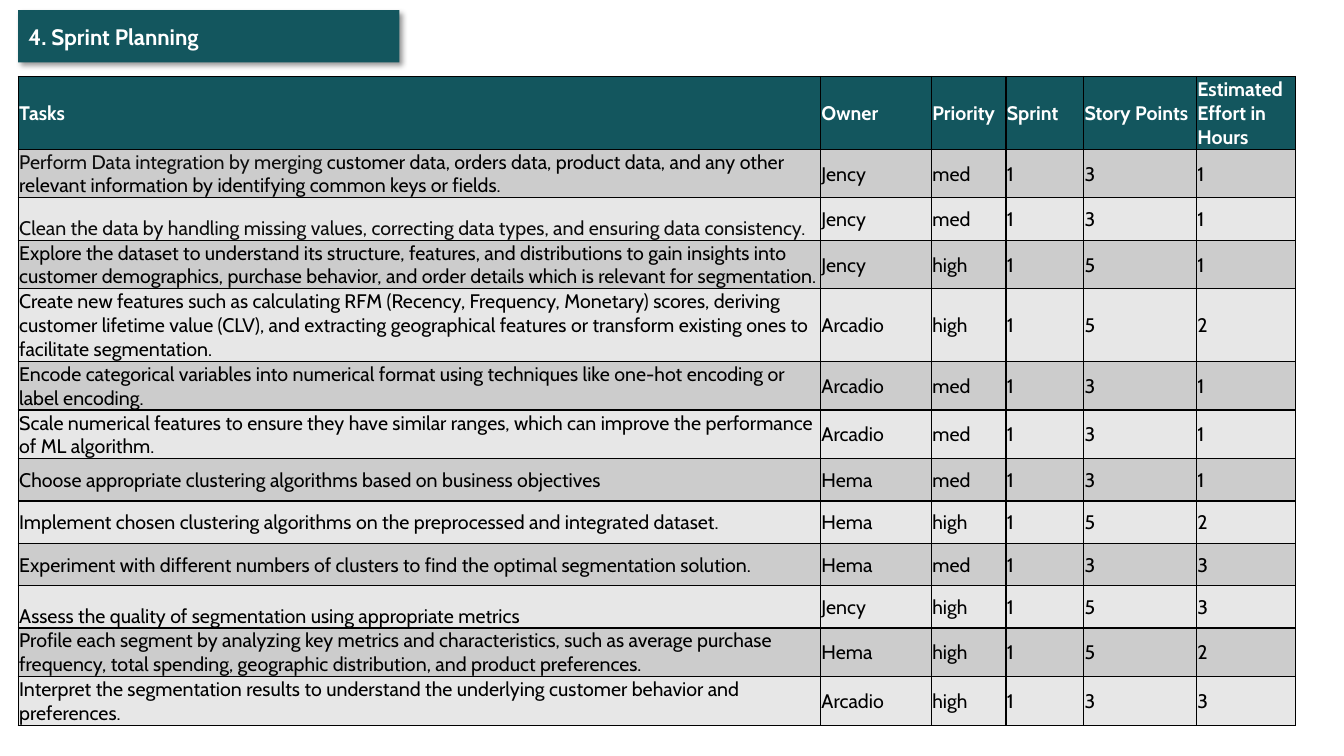
"""Build the sprint planning slide."""
from lxml import etree
from pptx import Presentation
from pptx import util as u
from pptx.dml.color import RGBColor
from pptx.enum import text
from pptx.oxml import ns, parse_xml

TEAL = RGBColor(0x13, 0x56, 0x5E)
WHITE = RGBColor(0xFF, 0xFF, 0xFF)
BLACK = RGBColor(0, 0, 0)
INK = RGBColor(0x0D, 0x0D, 0x0D)
BANDS = RGBColor(0xCC, 0xCC, 0xCC), RGBColor(0xE7, 0xE7, 0xE7)
FONT = "Cabin"
MIDDLE, BOTTOM = text.MSO_ANCHOR.MIDDLE, text.MSO_ANCHOR.BOTTOM
LEFT = 13
COLUMNS = {"Tasks": 573.1, "Owner": 79.2, "Priority": 53.3, "Sprint": 55.4,
           "Story Points": 80.6, "Estimated Effort in Hours": 70.6}
ROW_HEIGHT, LAST_HEIGHT = 30.24, 21.6
INSETS = {"margin_left": u.Pt(0.7), "margin_top": u.Pt(0.7),
          "margin_right": u.Pt(0.7), "margin_bottom": 0}
TASKS = [
    ("Perform Data integration by merging customer data, orders data, product data, and any other "
     "relevant information by identifying common keys or fields.", "Jency", "med", 3, 1, BOTTOM),
    ("Clean the data by handling missing values, correcting data types, and ensuring data "
     "consistency.", "Jency", "med", 3, 1, BOTTOM),
    ("Explore the dataset to understand its structure, features, and distributions to gain "
     "insights into customer demographics, purchase behavior, and order details which is relevant "
     "for segmentation.", "Jency", "high", 5, 1, MIDDLE),
    ("Create new features such as calculating RFM (Recency, Frequency, Monetary) scores, deriving "
     "customer lifetime value (CLV), and extracting geographical features or transform existing "
     "ones to facilitate segmentation.", "Arcadio", "high", 5, 2, MIDDLE),
    ("Encode categorical variables into numerical format using techniques like one-hot encoding "
     "or label encoding.", "Arcadio", "med", 3, 1, MIDDLE),
    ("Scale numerical features to ensure they have similar ranges, which can improve the "
     "performance of ML algorithm.", "Arcadio", "med", 3, 1, MIDDLE),
    ("Choose appropriate clustering algorithms based on business objectives",
     "Hema", "med", 3, 1, MIDDLE),
    ("Implement chosen clustering algorithms on the preprocessed and integrated dataset.",
     "Hema", "high", 5, 2, MIDDLE),
    ("Experiment with different numbers of clusters to find the optimal segmentation solution.",
     "Hema", "med", 3, 3, MIDDLE),
    ("Assess the quality of segmentation using appropriate metrics",
     "Jency", "high", 5, 3, BOTTOM),
    ("Profile each segment by analyzing key metrics and characteristics, such as average purchase "
     "frequency, total spending, geographic distribution, and product preferences.",
     "Hema", "high", 5, 2, BOTTOM),
    ("Interpret the segmentation results to understand the underlying customer behavior and "
     "preferences.", "Arcadio", "high", 3, 3, MIDDLE),
]
DARK_LEADS = "Perform Data integration by merging ", TASKS[1][0]


def set_attrs(obj, values):
    """Set each named attribute of an object."""
    for name, value in values.items():
        setattr(obj, name, value)


def add_run(p, content, size, color, bold):
    """Append a formatted run to a paragraph."""
    r = p.add_run()
    r.text = content
    set_attrs(r.font, {"name": FONT, "size": u.Pt(size), "bold": bold})
    r.font.color.rgb = color


def add_borders(cell):
    """Give a cell thin black lines on all four sides."""
    tc_pr = cell._tc.get_or_add_tcPr()
    for side in "LRTB":
        ln = etree.SubElement(tc_pr, ns.qn(f"a:ln{side}"), w=str(u.Pt(1)))
        fill = etree.SubElement(ln, ns.qn("a:solidFill"))
        etree.SubElement(fill, ns.qn("a:srgbClr"), val=str(BLACK))


def fill_cell(cell, content, fill, color=BLACK, bold=False, anchor=MIDDLE):
    """Write and format one table cell."""
    add_borders(cell)
    cell.fill.solid()
    cell.fill.fore_color.rgb = fill
    set_attrs(cell, {**INSETS, "vertical_anchor": anchor})
    p = cell.text_frame.paragraphs[0]
    lead = next((d for d in DARK_LEADS if content.startswith(d)), "")
    for part, shade in ((lead, INK), (content[len(lead):], color)):
        if part:
            add_run(p, part, 14, shade, bold)


def add_title(s, content):
    """Turn the title placeholder into a rounded banner with a shadow."""
    sp = s.shapes.title
    set_attrs(sp, {"left": u.Pt(LEFT), "top": u.Pt(7.2),
                   "width": u.Pt(272.2), "height": u.Pt(37.4)})
    sp_pr = sp._element.spPr
    geom = etree.SubElement(sp_pr, ns.qn("a:prstGeom"), prst="roundRect")
    etree.SubElement(geom, ns.qn("a:avLst"))
    sp.fill.solid()
    sp.fill.fore_color.rgb = TEAL
    sp_pr.append(parse_xml(
        f'<a:effectLst {ns.nsdecls("a")}><a:outerShdw blurRad="{u.Pt(4)}" dist="{u.Pt(3)}" '
        'dir="2700000" algn="tl" rotWithShape="0"><a:srgbClr val="000000">'
        '<a:alpha val="40000"/></a:srgbClr></a:outerShdw></a:effectLst>'))
    tf = sp.text_frame
    set_attrs(tf, {"word_wrap": True, "auto_size": text.MSO_AUTO_SIZE.NONE,
                   "vertical_anchor": MIDDLE})
    p = tf.paragraphs[0]
    p.alignment = text.PP_ALIGN.LEFT
    add_run(p, content, 16, WHITE, True)


def add_task_table(s):
    """Add the task table with its header and banded rows."""
    frame = s.shapes.add_table(len(TASKS) + 1, len(COLUMNS), u.Pt(LEFT), u.Pt(54.7),
                               u.Pt(912.2), u.Pt(478))
    tbl = frame.table
    for col, width in zip(tbl.columns, COLUMNS.values()):
        col.width = u.Pt(width)
    for row in tbl.rows:
        row.height = u.Pt(ROW_HEIGHT)
    tbl.rows[len(TASKS)].height = u.Pt(LAST_HEIGHT)
    frame.height = u.Pt(478)
    for c, heading in enumerate(COLUMNS):
        fill_cell(tbl.cell(0, c), heading, TEAL, WHITE, True)
    for i, (task, owner, priority, points, hours, anchor) in enumerate(TASKS):
        for c, value in enumerate((task, owner, priority, 1, points, hours)):
            fill_cell(tbl.cell(i + 1, c), str(value), BANDS[i % 2],
                      anchor=MIDDLE if c else anchor)


def main():
    """Build and save the presentation."""
    prs = Presentation()
    set_attrs(prs, {"slide_width": u.Pt(960), "slide_height": u.Pt(540)})
    s = prs.slides.add_slide(prs.slide_layouts[5])
    add_title(s, "4. Sprint Planning")
    add_task_table(s)
    prs.save("out.pptx")


if __name__ == "__main__":
    main()
